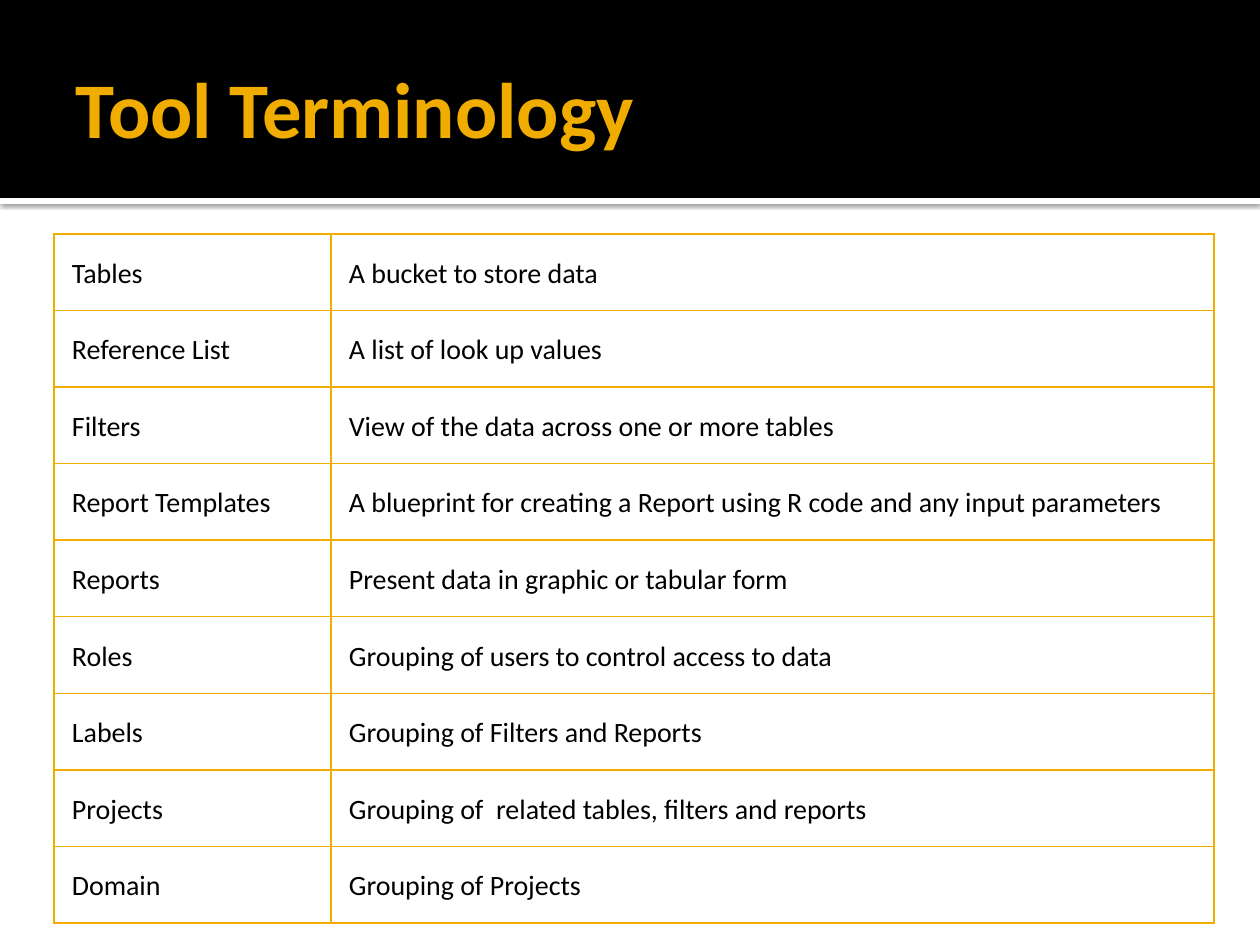
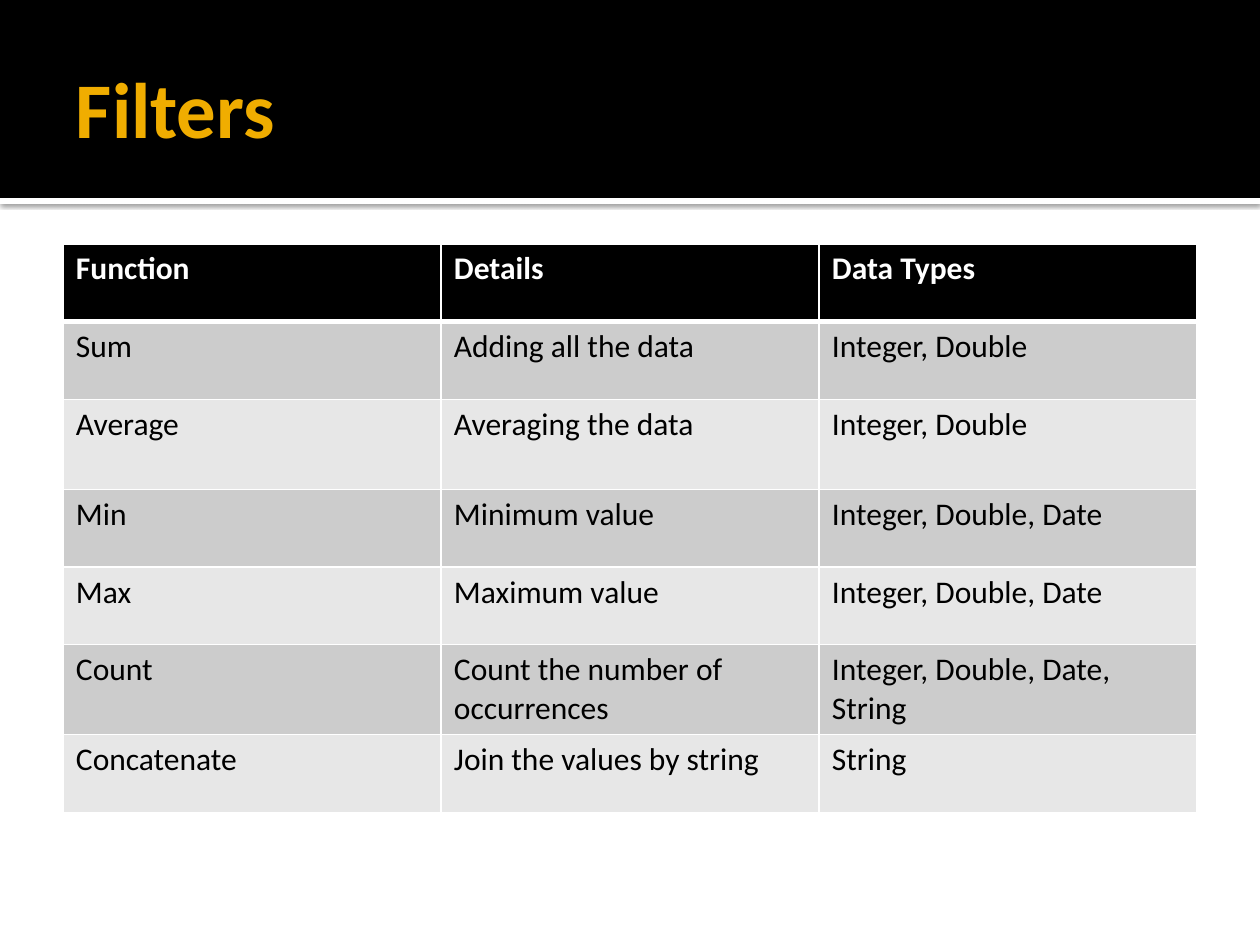
from lxml.etree import SubElement
from pptx import Presentation
from pptx.dml.color import RGBColor
from pptx.enum.shapes import MSO_SHAPE
from pptx.enum.text import MSO_ANCHOR
from pptx.oxml import parse_xml
from pptx.oxml.ns import nsdecls, qn
from pptx.util import Emu, Pt

SCALE = 914400 / 126
COLORS = {
    "black": "000000",
    "white": "FFFFFF",
    "gold": "F0AD00",
    "dark_band": "CCCCCC",
    "light_band": "E7E7E7",
}
FONT = "Calibri"

TERMS = [
    ("Tables", "A bucket to store data"),
    ("Reference List", "A list of look up values"),
    ("Filters", "View of the data across one or more tables"),
    ("Report Templates", "A blueprint for creating a Report using R code and any input parameters"),
    ("Reports", "Present data in graphic or tabular form"),
    ("Roles", "Grouping of users to control access to data"),
    ("Labels", "Grouping of Filters and Reports"),
    ("Projects", "Grouping of  related tables, filters and reports"),
    ("Domain", "Grouping of Projects"),
]
FUNCTIONS = [
    ("Function", "Details", "Data Types"),
    ("Sum", "Adding all the data", "Integer, Double"),
    ("Average", "Averaging the data", "Integer, Double"),
    ("Min", "Minimum value", "Integer, Double, Date"),
    ("Max", "Maximum value", "Integer, Double, Date"),
    ("Count", "Count the number of occurrences", "Integer, Double, Date, String"),
    ("Concatenate", "Join the values by string", "String"),
]
SLIDES = [
    dict(title="Tool Terminology", rows=TERMS, box=(54, 234, 1160, 689), columns=(277, 883),
         heights={}, size=16, border="gold", header=False, anchor=MSO_ANCHOR.MIDDLE,
         margins=(18, 3, 3, 0)),
    dict(title="Filters", rows=FUNCTIONS, box=(63, 244, 1134, 544), columns=(378, 378, 378),
         heights={2: 90, 5: 90}, size=18, border="white", header=True, anchor=MSO_ANCHOR.TOP,
         margins=(13, 6, 13, 6)),
]


def px(*lengths):
    return [Emu(round(length * SCALE)) for length in lengths]


def style_text(paragraph, size, color, bold):
    paragraph.font.name = FONT
    paragraph.font.size = Pt(size)
    paragraph.font.bold = bold
    paragraph.font.color.rgb = RGBColor.from_string(COLORS[color])


presentation = Presentation()
presentation.slide_width, presentation.slide_height = px(1260, 945)

for content in SLIDES:
    slide = presentation.slides.add_slide(presentation.slide_layouts[6])

    for top, height, color in [(198, 6, "white"), (0, 198, "black")]:
        band = slide.shapes.add_shape(MSO_SHAPE.RECTANGLE, *px(0, top, 1260, height))
        band.shadow.inherit = False
        band.fill.solid()
        band.fill.fore_color.rgb = RGBColor.from_string(COLORS[color])
        band.line.fill.background()
        if color == "white":
            effects = band._element.spPr.find(qn("a:effectLst"))
            effects.append(parse_xml(
                f'<a:outerShdw {nsdecls("a")} blurRad="31750" dist="10160" dir="5400000" '
                f'algn="t" rotWithShape="0"><a:srgbClr val="{COLORS["black"]}">'
                '<a:alpha val="60000"/></a:srgbClr></a:outerShdw>'))

    title = slide.shapes.add_textbox(*px(63, 21, 1134, 173)).text_frame
    title.word_wrap = True
    title.vertical_anchor = MSO_ANCHOR.MIDDLE
    title.margin_left, title.margin_top, title.margin_right, title.margin_bottom = px(13, 6, 6, 6)
    title.text = content["title"]
    style_text(title.paragraphs[0], 45, "gold", True)

    rows = content["rows"]
    table = slide.shapes.add_table(len(rows), len(rows[0]), *px(*content["box"])).table
    table.first_row = content["header"]
    table.horz_banding = False
    for column, width in zip(table.columns, px(*content["columns"])):
        column.width = width
    for index, height in content["heights"].items():
        table.rows[index].height = px(height)[0]

    for row_index, row in enumerate(rows):
        is_header = content["header"] and row_index == 0
        for column_index, text in enumerate(row):
            cell = table.cell(row_index, column_index)
            cell.text = text
            cell.vertical_anchor = content["anchor"]
            cell.margin_left, cell.margin_top, cell.margin_right, cell.margin_bottom = px(
                *content["margins"])
            style_text(cell.text_frame.paragraphs[0], content["size"],
                       "white" if is_header else "black", is_header)

            properties = cell._tc.get_or_add_tcPr()
            for side in ("lnL", "lnR", "lnT", "lnB"):
                under_header = content["header"] and (row_index, side) in [(0, "lnB"), (1, "lnT")]
                line = SubElement(properties, qn(f"a:{side}"), w=str(Pt(3 if under_header else 1)))
                fill = SubElement(line, qn("a:solidFill"))
                SubElement(fill, qn("a:srgbClr"), val=COLORS[content["border"]])

            if content["header"]:
                band_color = "dark_band" if row_index % 2 else "light_band"
                cell.fill.solid()
                cell.fill.fore_color.rgb = RGBColor.from_string(
                    COLORS["black" if is_header else band_color])
            else:
                cell.fill.background()

presentation.save("out.pptx")
